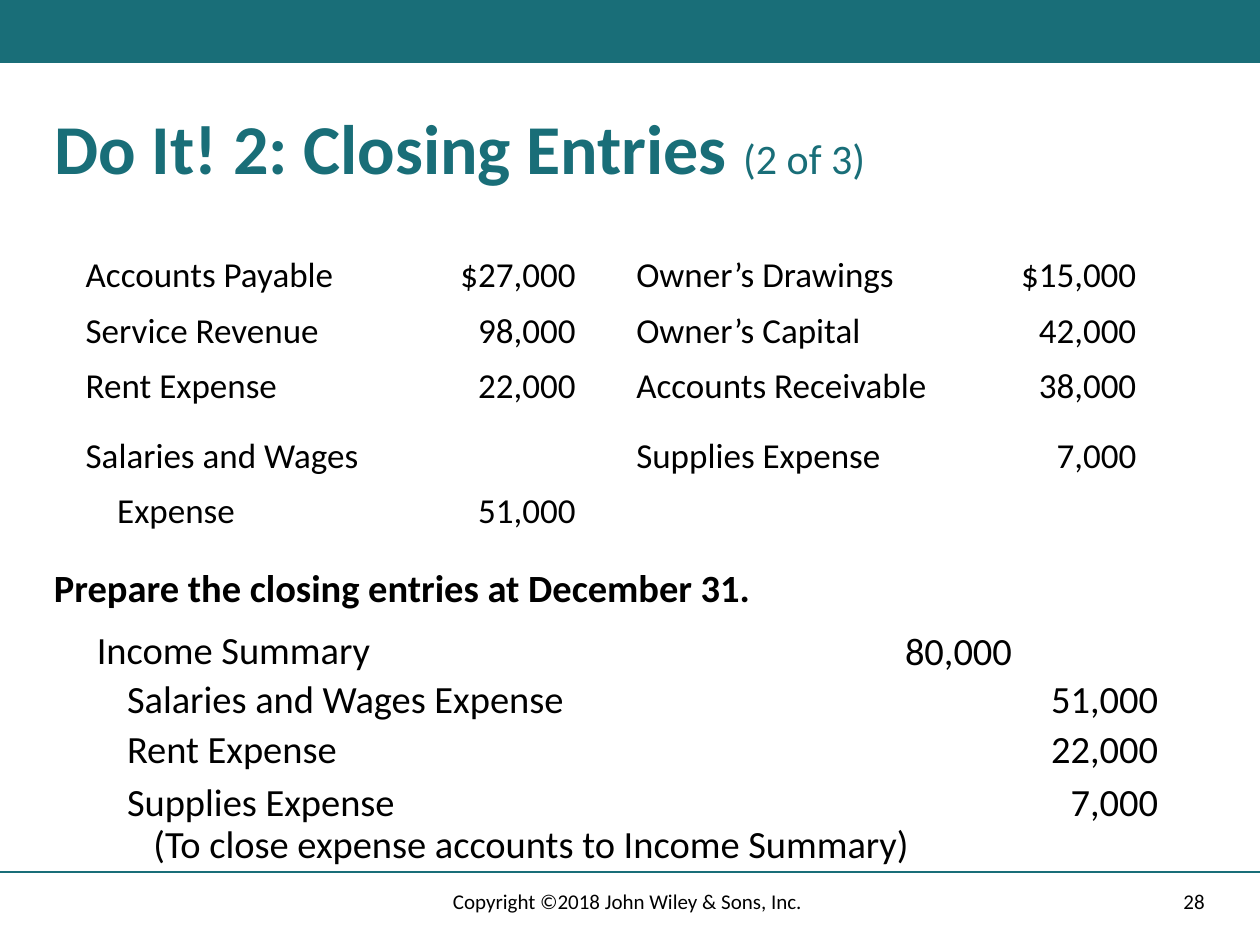
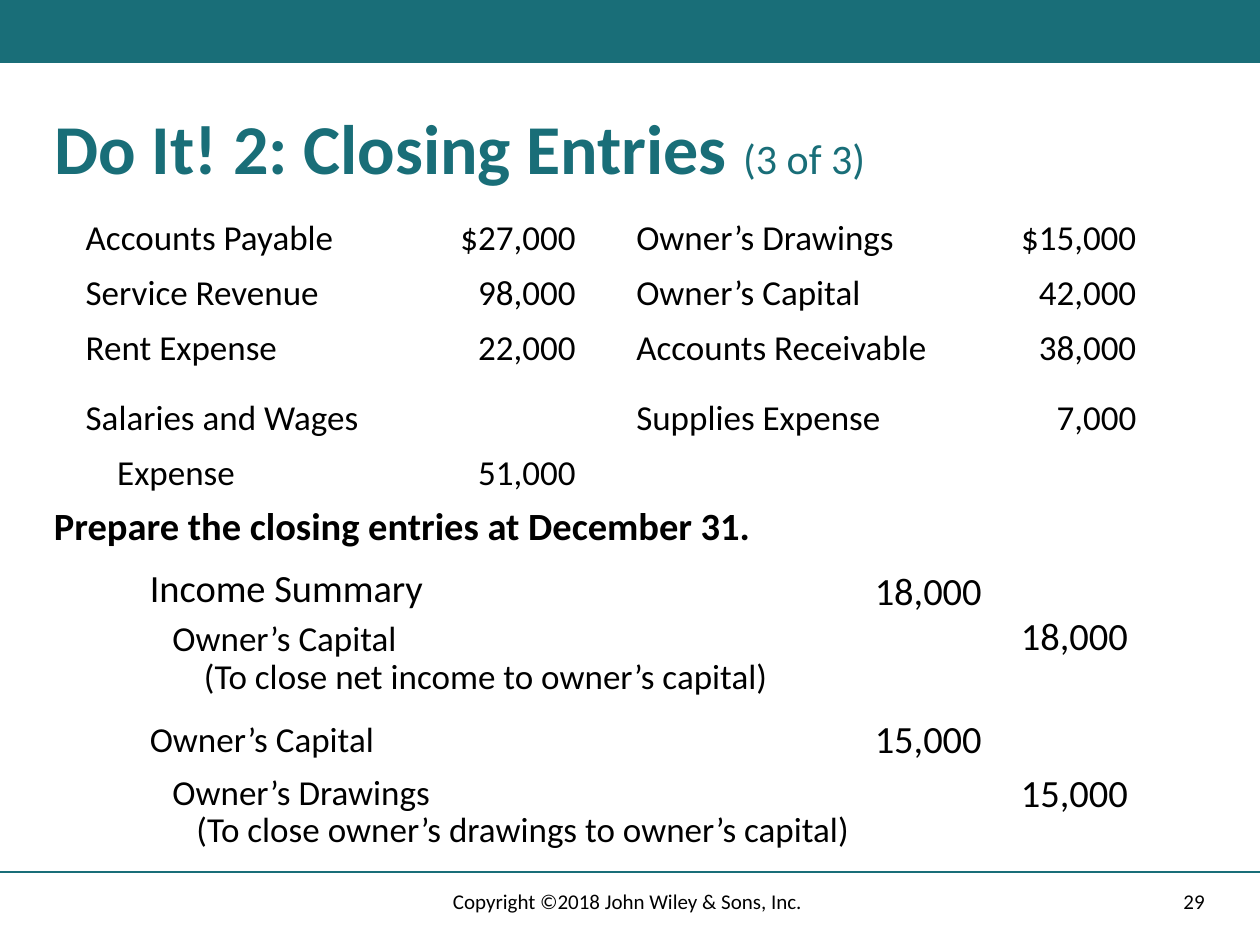
from lxml import etree
from pptx import Presentation
from pptx.dml.color import RGBColor
from pptx.enum.shapes import MSO_CONNECTOR, MSO_SHAPE
from pptx.enum.text import MSO_ANCHOR, PP_ALIGN
from pptx.oxml.ns import qn
from pptx.util import Inches, Pt

# Content
TITLE = "Do It! 2: Closing Entries "
COPYRIGHT = "Copyright ©2018 John Wiley & Sons, Inc."
TASK = "Prepare the closing entries at December 31."
BALANCES = [
    ("Accounts Payable", "$27,000", "Owner’s Drawings", "$15,000"),
    ("Service Revenue", "98,000", "Owner’s Capital", "42,000"),
    ("Rent Expense", "22,000", "Accounts Receivable", "38,000"),
    ("Salaries and Wages", "", "Supplies Expense", "7,000"),
    ("Expense", "51,000", "", ""),
]
# Entries: side, account, account top, account size, amount, amount top, note, note indent
SLIDES = [
    {
        "part": "(2 of 3)", "number": "28", "balances_top": 1.97, "task_top": 4.47,
        "account_left": {"debit": 0.67, "credit": 0.91},
        "amount_right": {"debit": 8.13, "credit": 9.29},
        "entries": [
            ("debit", "Income Summary", 4.96, 22, "80,000", 4.97, "", 0),
            ("credit", "Salaries and Wages Expense", 5.35, 22, "51,000", 5.35, "", 0),
            ("credit", "Rent Expense", 5.75, 22, "22,000", 5.75, "", 0),
            ("credit", "Supplies Expense", 6.17, 22, "7,000", 6.17,
             "(To close expense accounts to Income Summary)", 0.21),
        ],
    },
    {
        "part": "(3 of 3)", "number": "29", "balances_top": 1.67, "task_top": 3.98,
        "account_left": {"debit": 1.09, "credit": 1.27},
        "amount_right": {"debit": 7.89, "credit": 9.05},
        "entries": [
            ("debit", "Income Summary", 4.47, 22, "18,000", 4.49, "", 0),
            ("credit", "Owner’s Capital", 4.88, 20, "18,000", 4.85,
             "(To close net income to owner’s capital)", 0.25),
            ("debit", "Owner’s Capital", 5.68, 20, "15,000", 5.67, "", 0),
            ("credit", "Owner’s Drawings", 6.1, 20, "15,000", 6.1,
             "(To close owner’s drawings to owner’s capital)", 0.19),
        ],
    },
]

# Shared look
TEAL = RGBColor(0x19, 0x6E, 0x78)
BLACK = RGBColor(0, 0, 0)
WHITE = RGBColor(255, 255, 255)
FONT = "Calibri"
LEFT, CENTER, RIGHT = PP_ALIGN.LEFT, PP_ALIGN.CENTER, PP_ALIGN.RIGHT
TOP, MIDDLE = MSO_ANCHOR.TOP, MSO_ANCHOR.MIDDLE
SLIDE_WIDTH, SLIDE_HEIGHT = 10, 7.5
MARGIN = 0.33
BAND_HEIGHT = SLIDE_HEIGHT / 15
FOOTER_LINE, FOOTER_TOP = 6.92, 6.95
LINE_HEIGHT, NOTED_HEIGHT = 0.4, 0.67
ACCOUNT_WIDTH = {"debit": 2.41, "credit": 6.42}
AMOUNT_WIDTH = 1.08

# Balances grid
BALANCES_LEFT = 0.58
COLUMN_WIDTHS = [2.71, 1.66, 2.66, 1.51]
COLUMN_ALIGNMENTS = [LEFT, RIGHT, LEFT, RIGHT]
ROW_HEIGHTS = [0.44, 0.44, 0.55, 0.44, 0.44]
LEFT_AMOUNT_INSET = 0.38
CONTINUED_INDENT = 0.35


def box(left, top, width, height):
    return [Inches(length) for length in (left, top, width, height)]


def format_font(font, size, color=BLACK, bold=False):
    for name, value in {"name": FONT, "size": Pt(size), "bold": bold}.items():
        setattr(font, name, value)
    font.color.rgb = color


def add_text(slide, place, lines, size, align=LEFT, anchor=TOP, bold=False, spacing=0.9):
    """Add a text box from (text, indent) lines."""
    frame = slide.shapes.add_textbox(*box(*place)).text_frame
    frame.word_wrap = True
    frame.vertical_anchor = anchor
    for index, (text, indent) in enumerate(lines):
        paragraph = frame.add_paragraph() if index else frame.paragraphs[0]
        paragraph.alignment = align
        paragraph.line_spacing = spacing
        if indent:
            paragraph._p.get_or_add_pPr().set("marL", str(Inches(indent)))
        run = paragraph.add_run()
        run.text = text
        format_font(run.font, size, bold=bold)


def add_title(slide, part):
    title = slide.shapes.title
    title.left, title.top, title.width, title.height = box(
        MARGIN, 0.83, SLIDE_WIDTH - 2 * MARGIN, 0.75)
    title.text_frame.vertical_anchor = MIDDLE
    paragraph = title.text_frame.paragraphs[0]
    paragraph.alignment = LEFT
    paragraph.line_spacing = 0.9
    for text, size, bold in ((TITLE, 40, True), (part, 24, False)):
        run = paragraph.add_run()
        run.text = text
        format_font(run.font, size, TEAL, bold)


def add_frame(slide, number):
    """Add the top band, the footer line and the footer texts."""
    band = slide.shapes.add_shape(MSO_SHAPE.RECTANGLE, *box(0, 0, SLIDE_WIDTH, BAND_HEIGHT))
    band.shadow.inherit = False
    band.fill.solid()
    band.fill.fore_color.rgb = TEAL
    band.line.fill.background()

    line = slide.shapes.add_connector(
        MSO_CONNECTOR.STRAIGHT, *box(0, FOOTER_LINE, SLIDE_WIDTH, FOOTER_LINE))
    line.line.color.rgb = TEAL
    line.line.width = Pt(1)
    etree.SubElement(line._element.spPr, qn("a:effectLst"))

    for text, left, width, align in ((number, 7.06, 2.6, RIGHT),
                                     (COPYRIGHT, 3.29, 3.38, CENTER)):
        add_text(slide, (left, FOOTER_TOP, width, LINE_HEIGHT), [(text, 0)],
                 12, align, MIDDLE, spacing=1)


def add_balances(slide, top):
    place = box(BALANCES_LEFT, top, sum(COLUMN_WIDTHS), sum(ROW_HEIGHTS))
    table = slide.shapes.add_table(len(BALANCES), len(COLUMN_WIDTHS), *place).table
    table.first_row = table.horz_banding = False
    for column, width in zip(table.columns, COLUMN_WIDTHS):
        column.width = Inches(width)
    for row, height, texts in zip(table.rows, ROW_HEIGHTS, BALANCES):
        row.height = Inches(height)
        for cell, text, align in zip(row.cells, texts, COLUMN_ALIGNMENTS):
            cell.fill.solid()
            cell.fill.fore_color.rgb = WHITE
            cell.text = text
            paragraph = cell.text_frame.paragraphs[0]
            paragraph.alignment = align
            format_font(paragraph.font, 20)
        row.cells[1].margin_right = Inches(LEFT_AMOUNT_INSET)
    table.cell(len(BALANCES) - 1, 0).margin_left = Inches(CONTINUED_INDENT)


def add_entries(slide, content):
    for side, account, top, size, amount, amount_top, note, indent in content["entries"]:
        lines = [(account, 0)] + ([(note, indent)] if note else [])
        height = NOTED_HEIGHT if note else LINE_HEIGHT
        add_text(slide, (content["account_left"][side], top, ACCOUNT_WIDTH[side], height),
                 lines, size)
        amount_left = content["amount_right"][side] - AMOUNT_WIDTH
        add_text(slide, (amount_left, amount_top, AMOUNT_WIDTH, LINE_HEIGHT),
                 [(amount, 0)], 22, RIGHT)


def main():
    presentation = Presentation()
    presentation.slide_width = Inches(SLIDE_WIDTH)
    presentation.slide_height = Inches(SLIDE_HEIGHT)
    title_only = presentation.slide_layouts[5]
    for content in SLIDES:
        slide = presentation.slides.add_slide(title_only)
        add_frame(slide, content["number"])
        add_title(slide, content["part"])
        add_balances(slide, content["balances_top"])
        add_text(slide, (MARGIN, content["task_top"], 5.92, LINE_HEIGHT),
                 [(TASK, 0)], 22, bold=True)
        add_entries(slide, content)
    presentation.save("out.pptx")


if __name__ == "__main__":
    main()
